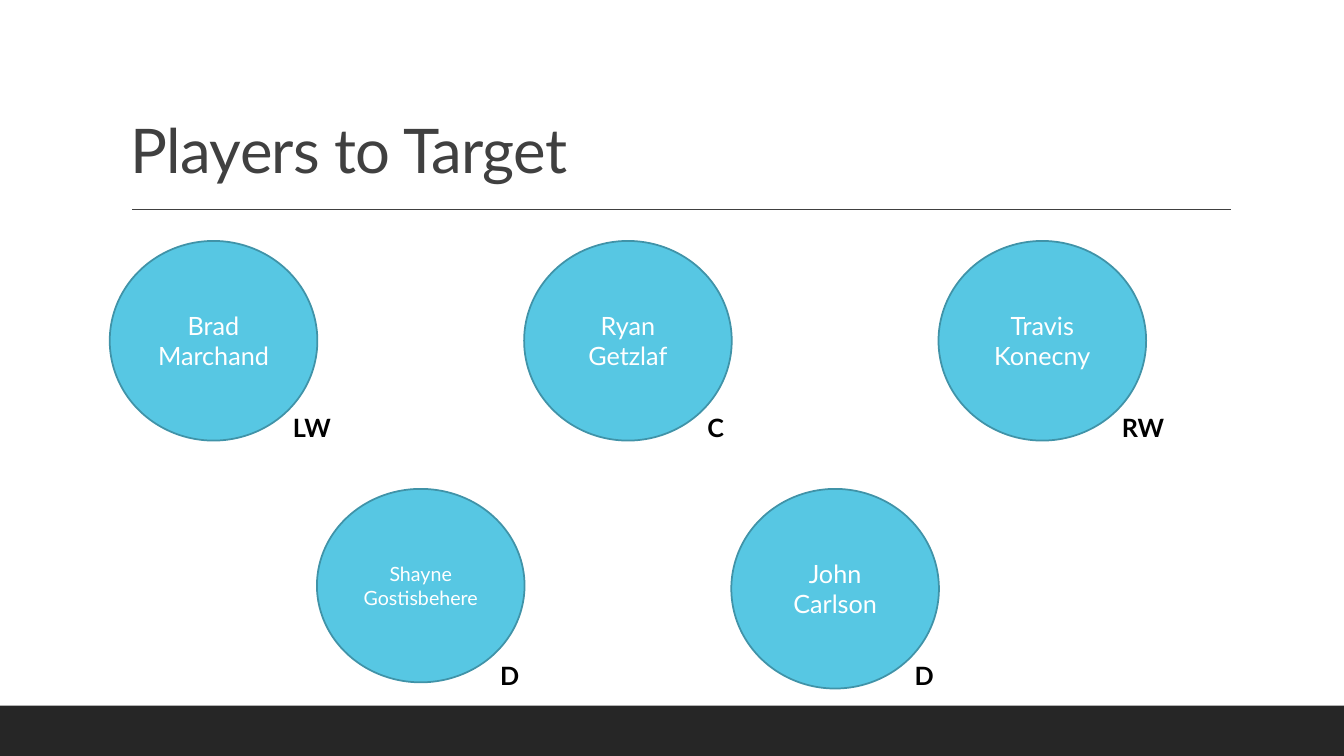
import dataclasses

import pptx
import pptx.dml.color
import pptx.enum.shapes
import pptx.enum.text
import pptx.oxml
import pptx.util

Pt = pptx.util.Pt
Color = pptx.dml.color.RGBColor.from_string
Shape = pptx.enum.shapes.MSO_SHAPE
Align = pptx.enum.text.PP_ALIGN
Anchor = pptx.enum.text.MSO_ANCHOR


@dataclasses.dataclass(frozen=True)
class Theme:
    """Colours and type sizes of the deck."""
    font: str = "Lato"
    heading: str = "404040"
    footer: str = "262626"
    circle: str = "57C7E3"
    circle_edge: str = "4093A8"
    name: str = "FFFFFF"
    position: str = "000000"
    heading_size: float = 44
    body_size: float = 18
    small_size: float = 14


THEME = Theme()
CIRCLE_WIDTH, CIRCLE_HEIGHT = 148.3, 142.6
COLUMN_STEP, ROW_STEP = 148, 177.1
PLAYERS = [
    ("Brad Marchand", "LW", 0, 0, THEME.body_size, CIRCLE_HEIGHT),
    ("Ryan Getzlaf", "C", 2, 0, THEME.body_size, CIRCLE_HEIGHT),
    ("Travis Konecny", "RW", 4, 0, THEME.body_size, CIRCLE_HEIGHT),
    ("Shayne Gostisbehere", "D", 1, 1, THEME.small_size, 138.2),
    ("John Carlson", "D", 3, 1, THEME.body_size, CIRCLE_HEIGHT),
]


def write_text(shape, text, size, color, anchor, align=Align.LEFT, bold=False):
    """Put one styled paragraph in a shape and return the paragraph."""
    frame = shape.text_frame
    frame.word_wrap = True
    frame.vertical_anchor = anchor
    para = frame.paragraphs[0]
    para.add_run().text = text
    para.alignment = align
    para.font.name = THEME.font
    para.font.size = Pt(size)
    para.font.bold = bold
    para.font.color.rgb = Color(color)
    return para


def add_filled_shape(page, kind, left, top, width, height, fill):
    """Add a flat preset shape without an outline."""
    shape = page.shapes.add_shape(kind, Pt(left), Pt(top), Pt(width), Pt(height))
    shape.shadow.inherit = False
    shape.fill.solid()
    shape.fill.fore_color.rgb = Color(fill)
    shape.line.fill.background()
    return shape


def add_heading(page, text, left, top, width, height):
    """Add the slide title with the rule beneath it."""
    box = page.shapes.add_textbox(Pt(left), Pt(top), Pt(width), Pt(height))
    para = write_text(box, text, THEME.heading_size, THEME.heading, Anchor.BOTTOM)
    para.line_spacing = 0.9
    for span in para.runs:
        span._r.get_or_add_rPr().set("spc", "-50")
    rule_top = top + height + 13
    rule = page.shapes.add_connector(
        pptx.enum.shapes.MSO_CONNECTOR.STRAIGHT,
        Pt(left + 8), Pt(rule_top), Pt(left + width + 0.7), Pt(rule_top))
    rule.line.color.rgb = Color(THEME.heading)
    rule.line.width = Pt(1)
    rule._element.spPr.append(pptx.oxml.parse_xml(
        '<a:effectLst xmlns:a="http://schemas.openxmlformats.org/drawingml/2006/main"/>'))


def add_player(page, name, position, left, top, size, height):
    """Add a player's circle with the position at its lower right."""
    circle = add_filled_shape(page, Shape.OVAL, left, top, CIRCLE_WIDTH, height, THEME.circle)
    circle.line.color.rgb = Color(THEME.circle_edge)
    circle.line.width = Pt(1.25)
    write_text(circle, name, size, THEME.name, Anchor.MIDDLE, Align.CENTER)
    label = page.shapes.add_textbox(Pt(left + 123.8), Pt(top + 119), Pt(48.2), Pt(29))
    write_text(label, position, THEME.body_size, THEME.position, Anchor.TOP, bold=True)


def add_lineup(page, left, top):
    """Place the players on a staggered grid."""
    for name, position, column, row, size, height in PLAYERS:
        add_player(page, name, position, left + column * COLUMN_STEP,
                   top + row * ROW_STEP, size, height)


def main():
    """Build and save the deck."""
    deck = pptx.Presentation()
    deck.slide_width, deck.slide_height = Pt(960), Pt(540)
    page = deck.slides.add_slide(deck.slide_layouts[6])
    add_filled_shape(page, Shape.RECTANGLE, 0, 504, 960, 36, THEME.footer)
    add_heading(page, "Players to Target", 86.4, 22.3, 792, 114.5)
    add_lineup(page, 78.4, 172.1)
    deck.save("out.pptx")


if __name__ == "__main__":
    main()
